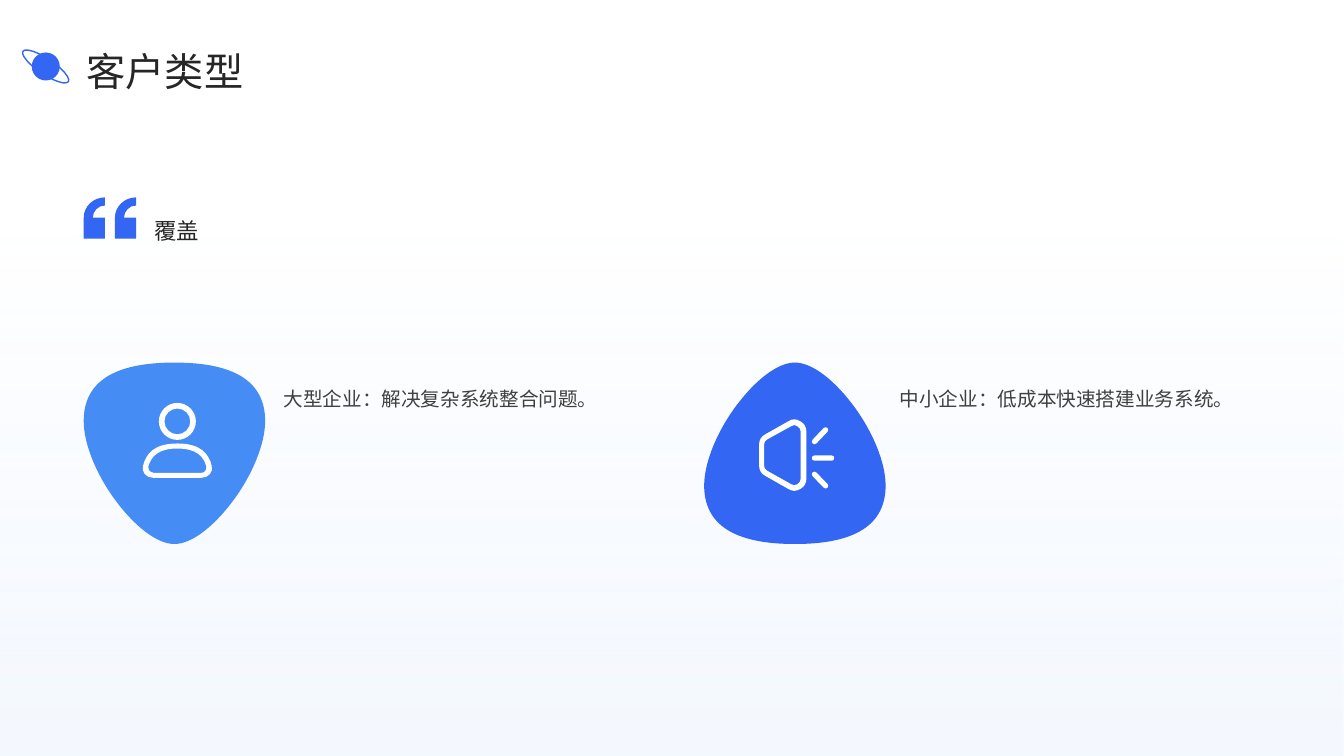
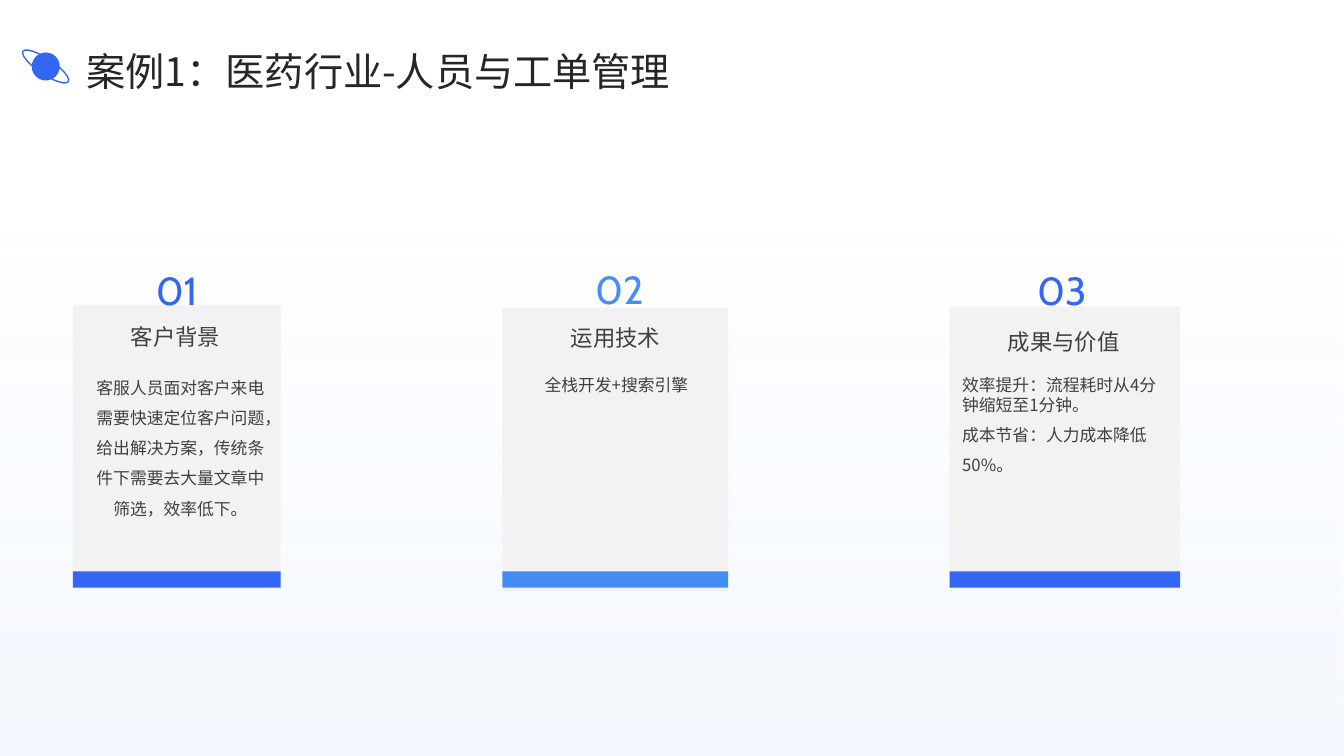
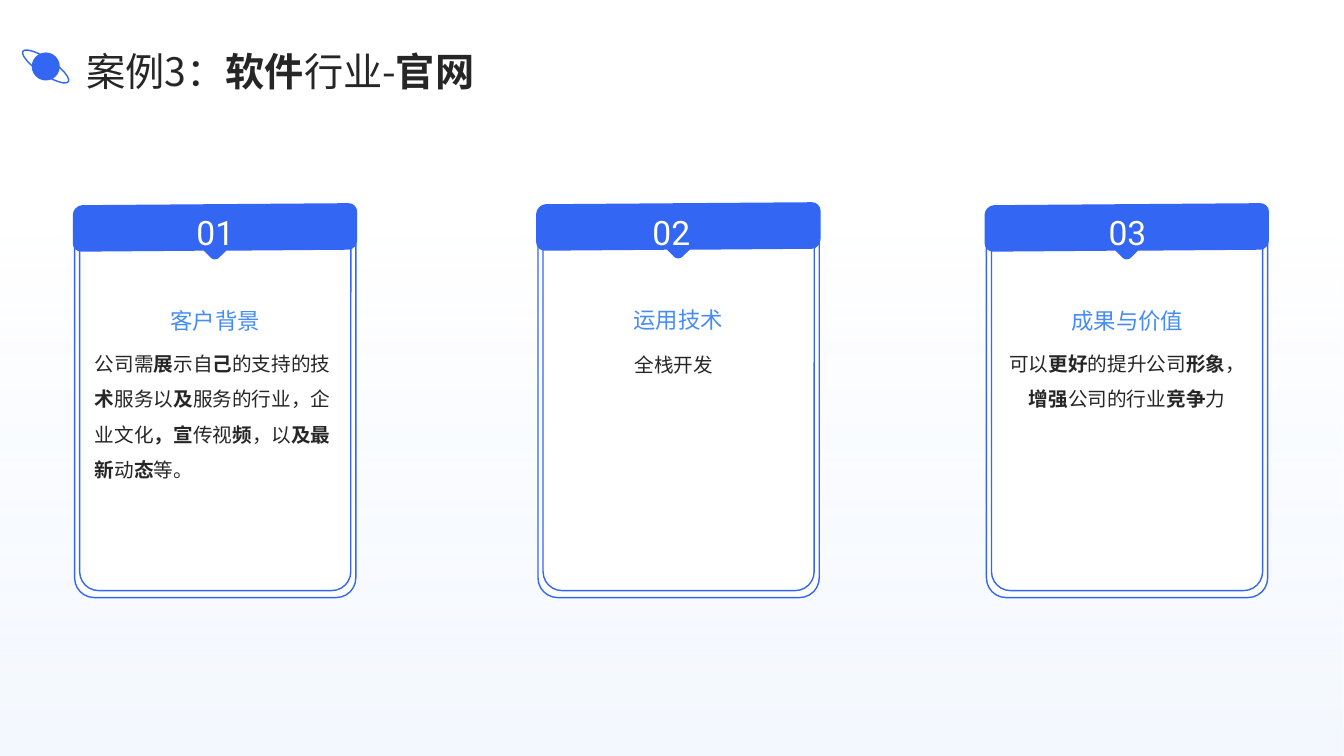
"""Build three slides: customer types and two customer cases."""
import math

import pptx
import pptx.dml.color
import pptx.enum.shapes
import pptx.enum.text
import pptx.oxml.ns
import pptx.util
from lxml import etree

Pt = pptx.util.Pt
SHAPE = pptx.enum.shapes.MSO_SHAPE
ALIGN = pptx.enum.text.PP_ALIGN
ANCHOR = pptx.enum.text.MSO_ANCHOR
qn = pptx.oxml.ns.qn

COLORS = {"blue": "3366F3", "sky": "458CF5", "haze": "DAE8FD", "panel": "F2F2F2",
          "white": "FFFFFF", "ink": "262626", "gray": "404040"}
CJK = "Noto Sans CJK SC"
WIDTH, HEIGHT = 960, 540

CUSTOMERS = {
    "title": "客户类型",
    "lead": "覆盖",
    "types": [
        {"text": "大型企业：解决复杂系统整合问题。", "badge": 59.8, "left": 202.5,
         "color": "sky", "flipped": False},
        {"text": "中小企业：低成本快速搭建业务系统。", "badge": 503, "left": 642.6,
         "color": "blue", "flipped": True},
    ],
}
MEDICAL = {
    "title": "案例1：医药行业-人员与工单管理",
    "cards": [
        {"number": "01", "heading": "客户背景", "color": "blue",
         "panel": (52, 217.6, 148.5, 202.3), "number_at": (85.9, 176.4),
         "heading_at": (51.9, 218.4, 146.9), "body_at": (59.4, 258.8, 139),
         "align": ALIGN.CENTER, "spacing": [1.5],
         "body": ["客服人员面对客户来电需要快速定位客户问题，给出解决方案，"
                  "传统条件下需要去大量文章中筛选，效率低下。"]},
        {"number": "02", "heading": "运用技术", "color": "sky",
         "panel": (358.8, 219.8, 161.4, 202.3), "number_at": (402.1, 175.7),
         "heading_at": (359.3, 219, 160.6), "body_at": (360, 257, 160.6),
         "align": ALIGN.CENTER, "spacing": [1.5], "body": ["全栈开发+搜索引擎"]},
        {"number": "03", "heading": "成果与价值", "color": "blue",
         "panel": (678.4, 219.1, 164.7, 201.6), "number_at": (718.2, 176.4),
         "heading_at": (678.5, 221.9, 162.7), "body_at": (680.2, 264, 162.7),
         "align": ALIGN.LEFT, "spacing": [1, 1.5],
         "body": ["效率提升：流程耗时从4分钟缩短至1分钟。", "成本节省：人力成本降低50%。"]},
    ],
}
SOFTWARE = {
    "title": "案例3：*软件*行业-*官网*",
    "cards": [
        {"number": "01", "heading": "客户背景", "left": 53.3, "lift": 0,
         "body_at": (67.7, 243), "heading_left": 67.7, "align": ALIGN.LEFT,
         "body": "公司需*展*示自*己*的支持的技*术*服务以*及*服务的行业，企业文化"
                 "*，宣*传视*频*，以*及最新*动*态*等。"},
        {"number": "02", "heading": "运用技术", "left": 384.3, "lift": 0.7,
         "body_at": (395.3, 244), "heading_left": 398.5, "align": ALIGN.CENTER,
         "body": "全栈开发"},
        {"number": "03", "heading": "成果与价值", "left": 704.6, "lift": 0,
         "body_at": (719, 243), "heading_left": 719.2, "align": ALIGN.CENTER,
         "body": "可以*更好*的提升公司*形象*，*增强*公司的行业*竞争*力"},
    ],
}

BADGE = [(64.8, 0), (21.6, 0, 0, 13.7, 0, 41.8), (0, 57.6, 8.6, 79.2, 22.3, 97.9),
         (36.7, 117.4, 52.6, 129.6, 64.8, 129.6), (77, 129.6, 92.9, 117.4, 107.3, 97.9),
         (121, 79.2, 129.6, 57.6, 129.6, 41.8), (129.6, 13.7, 108, 0, 64.8, 0)]
QUOTE = [(15.1, 0), (15.1, 5.8), (10.1, 5.8, 6.5, 10.1, 6.5, 14.4), (15.1, 14.4),
         (15.1, 29.5), (0, 29.5), (0, 14.4), (0, 6.5, 6.8, 0, 15.1, 0)]
SHOULDERS = [
    [(126.7, 316.8), (110.2, 316.8, 104.4, 324, 102.2, 332.6),
     (100.8, 337, 104.4, 341.3, 109.4, 341.3), (144, 341.3),
     (149, 341.3, 152.6, 337, 151.2, 332.6), (149, 324, 143.3, 316.8, 126.7, 316.8)],
    [(126.7, 320.4), (140.4, 320.4, 145.4, 326, 147.4, 333.2),
     (147.6, 336, 146.2, 337.7, 144, 337.7), (109.4, 337.7),
     (107.3, 337.7, 105.8, 336, 106, 333.2), (108, 326, 113, 320.4, 126.7, 320.4)],
]
SPEAKER = [
    [(567.4, 299.5), (568.8, 299.5, 570.2, 300, 571.7, 301),
     (574.6, 302.4, 576, 305.3, 576, 308.2), (576, 342),
     (576, 344.9, 574.6, 347.8, 571.7, 349.2), (570.2, 350, 568.8, 350.6, 567.4, 350.6),
     (565.9, 350.6, 564.5, 350, 563, 349.2), (546.5, 339.8),
     (543.6, 338.4, 542.2, 335.5, 542.2, 332.6), (542.2, 317.5),
     (542.2, 314.6, 543.6, 311.8, 546.5, 310.3), (563, 301),
     (564.5, 300, 565.9, 299.5, 567.4, 299.5)],
    [(567.4, 303.6), (566.6, 303.6, 565.9, 304, 565.2, 304.4), (547.9, 313.9),
     (546.5, 314.6, 545.8, 316.1, 545.8, 317.5), (545.8, 332.6),
     (545.8, 334.1, 546.5, 335.5, 547.9, 336.2), (565.2, 345.9),
     (566.6, 346.8, 568.1, 346.8, 569.5, 345.9), (571, 345.2, 571.9, 343.6, 571.9, 342),
     (571.9, 308.2), (571.9, 306.7, 571, 305.2, 569.5, 304.4),
     (568.8, 304, 568.1, 303.6, 567.4, 303.6)],
]
RAYS = [(581.8, 338.8, 589.7, 347), (581.8, 327.2, 594, 327.2), (581.8, 315.4, 589.7, 307.1)]
TAB = [(5.8, 1.4), (195.8, 0), (198.7, 0, 200.9, 2.2, 200.9, 5), (200.9, 25.2),
       (200.9, 28.1, 198.7, 31, 195.8, 31), (108, 31.7), (102.2, 37.4),
       (100.8, 38.2, 99.4, 38.2, 98.6, 37.4), (92.9, 31.7), (5, 32.4),
       (2.2, 32.4, 0, 30.2, 0, 27.4), (0, 7.2), (0, 4.3, 2.9, 1.4, 5.8, 1.4)]
TAB_CENTER = (100.45, 16.2)


def rgb(name):
    return pptx.dml.color.RGBColor.from_string(COLORS[name])


def paint(shape, fill=None, line=None, weight=1):
    shape.shadow.inherit = False
    if fill:
        shape.fill.solid()
        shape.fill.fore_color.rgb = rgb(fill)
    else:
        shape.fill.background()
    if line:
        shape.line.color.rgb = rgb(line)
        shape.line.width = Pt(weight)
    else:
        shape.line.fill.background()
    return shape


def add_preset(shapes, kind, at, **style):
    return paint(shapes.add_shape(kind, *map(Pt, at)), **style)


def pairs(segment):
    return list(zip(segment[::2], segment[1::2]))


def remap(outline, change):
    """Apply a point function to every point of an outline."""
    return [tuple(value for x, y in pairs(segment) for value in change(x, y))
            for segment in outline]


def shift(outline, left, top):
    return remap(outline, lambda x, y: (left + x, top + y))


def turn(outline, center, degrees):
    cos, sin = math.cos(math.radians(degrees)), math.sin(math.radians(degrees))
    cx, cy = center
    return remap(outline, lambda x, y: (cx + (x - cx) * cos - (y - cy) * sin,
                                        cy + (x - cx) * sin + (y - cy) * cos))


def circle(cx, cy, radius):
    k = 0.55
    unit = [(0, -1), (k, -1, 1, -k, 1, 0), (1, k, k, 1, 0, 1),
            (-k, 1, -1, k, -1, 0), (-1, -k, -k, -1, 0, -1)]
    return remap(unit, lambda x, y: (cx + radius * x, cy + radius * y))


def capsule(x1, y1, x2, y2, radius=1.9):
    length = math.dist((x1, y1), (x2, y2))
    ux, uy = (x2 - x1) / length * radius, (y2 - y1) / length * radius
    bulge = 4 / 3
    bx, by = ux * bulge, uy * bulge
    return [(x1 - uy, y1 + ux), (x2 - uy, y2 + ux),
            (x2 - uy + bx, y2 + ux + by, x2 + uy + bx, y2 - ux + by, x2 + uy, y2 - ux),
            (x1 + uy, y1 - ux),
            (x1 + uy - bx, y1 - ux - by, x1 - uy - bx, y1 + ux - by, x1 - uy, y1 + ux)]


def add_outlines(page, outlines, **style):
    """Draw closed outlines as one freeform, with six-number segments as curves."""
    ends = [[tuple(map(Pt, segment[-2:])) for segment in outline] for outline in outlines]
    builder = page.shapes.build_freeform(*ends[0][0])
    for index, points in enumerate(ends):
        if index:
            builder.move_to(*points[0])
        builder.add_line_segments(points[1:], close=True)
    shape = builder.convert_to_shape()
    segments = [segment for outline in outlines for segment in outline[1:]]
    for node, segment in zip(list(shape._element.iter(qn("a:lnTo"))), segments):
        if len(segment) == 6:
            curve = etree.Element(qn("a:cubicBezTo"))
            for x, y in pairs(segment):
                point = etree.SubElement(curve, qn("a:pt"))
                point.set("x", str(Pt(x) - shape.left))
                point.set("y", str(Pt(y) - shape.top))
            node.getparent().replace(node, curve)
    return paint(shape, **style)


def add_text(page, at, lines, size, color, font=CJK, spacing=(1.5,), align=ALIGN.LEFT,
             anchor=ANCHOR.TOP, inset=(0, 0)):
    """Write paragraphs where stretches between asterisks are bold."""
    frame = page.shapes.add_textbox(*map(Pt, at)).text_frame
    frame.word_wrap = True
    frame.vertical_anchor = anchor
    frame.margin_left = frame.margin_right = Pt(inset[0])
    frame.margin_top = frame.margin_bottom = Pt(inset[1])
    for number, (line, gap) in enumerate(zip(lines, spacing)):
        para = frame.add_paragraph() if number else frame.paragraphs[0]
        para.alignment = align
        para.line_spacing = gap
        for index, part in enumerate(line.split("*")):
            if not part:
                continue
            span = para.add_run()
            span.text = part
            span.font.size = Pt(size)
            span.font.name = font
            span.font.bold = index % 2 == 1
            span.font.color.rgb = rgb(color)
            etree.SubElement(span.font._element, qn("a:ea")).set("typeface", font)


def start_page(deck, title):
    page = deck.slides.add_slide(deck.slide_layouts[6])
    backdrop = add_preset(page.shapes, SHAPE.RECTANGLE, (0, 0, WIDTH, HEIGHT))
    backdrop.fill.gradient()
    backdrop.fill.gradient_angle = 270
    for stop, position in zip(backdrop.fill.gradient_stops, (0.3, 1)):
        stop.color.rgb = rgb("haze")
        stop.position = position
    for tint, alpha in zip(backdrop._element.iter(qn("a:srgbClr")), ("0", "30000")):
        etree.SubElement(tint, qn("a:alpha")).set("val", alpha)
    add_text(page, (61.9, 30.6, 840.2, 36.7), [title], 28, "ink", spacing=[1.1],
             anchor=ANCHOR.MIDDLE)
    planet = page.shapes.add_group_shape()
    add_preset(planet.shapes, SHAPE.OVAL, (22.7, 37.5, 20, 20), fill="blue")
    ring = add_preset(planet.shapes, SHAPE.OVAL, (13.1, 42, 39, 11), line="blue")
    ring.rotation = 33.8
    return page


def build_customers(deck):
    page = start_page(deck, CUSTOMERS["title"])
    for kind in CUSTOMERS["types"]:
        add_text(page, (kind["left"], 267.8, 254.9, 129.6), [kind["text"]], 14, "gray")
        badge = remap(BADGE, lambda x, y: (x, 129.6 - y)) if kind["flipped"] else BADGE
        add_outlines(page, [shift(badge, kind["badge"], 259)], fill=kind["color"])
    head = [circle(126.7, 301, radius) for radius in (13.2, 9.2)]
    add_outlines(page, head + SHOULDERS, fill="white")
    add_outlines(page, [capsule(*ray) for ray in RAYS] + SPEAKER, fill="white")
    add_outlines(page, [shift(QUOTE, left, 141) for left in (82.1, 59.8)], fill="blue")
    add_text(page, (110.2, 145.4, 787.7, 102.2), [CUSTOMERS["lead"]], 16, "ink")


def build_medical(deck):
    page = start_page(deck, MEDICAL["title"])
    inset = (7.2, 3.6)
    for card in MEDICAL["cards"]:
        left, _, width, _ = card["panel"]
        add_preset(page.shapes, SHAPE.RECTANGLE, card["panel"], fill="panel")
        add_text(page, (*card["number_at"], 80.6, 43.2), [card["number"]], 28, card["color"],
                 font="Cabin", spacing=[1.3], align=ALIGN.CENTER, inset=inset)
        add_preset(page.shapes, SHAPE.RECTANGLE, (left, 408.2, width, 11.6), fill=card["color"])
        add_text(page, (*card["heading_at"], 41.8), [card["heading"]], 16, "gray",
                 spacing=[1.1], align=ALIGN.CENTER, anchor=ANCHOR.MIDDLE, inset=inset)
        add_text(page, (*card["body_at"], 123.1), card["body"], 12, "gray",
                 spacing=card["spacing"], align=card["align"], inset=inset)


def build_software(deck):
    page = start_page(deck, SOFTWARE["title"])
    tilted = turn(TAB, TAB_CENTER, 45)
    for index, card in enumerate(SOFTWARE["cards"]):
        left = card["left"]
        for inset, top in ((0, 170.6), (3.6, 165.6)):
            frame = add_preset(page.shapes, SHAPE.ROUND_2_SAME_RECTANGLE,
                               (left + inset, top, 200.9 - 2 * inset, 256.3),
                               fill="white", line="blue")
            frame.adjustments[0] = 0.07
            frame._element.spPr.find(qn("a:xfrm")).set("flipV", "1")
        tab = add_outlines(page, [shift(tilted, left, 146.2 - card["lift"])],
                           fill="blue", line="blue", weight=2.25)
        tab.rotation = 315
        add_text(page, (85 + 325.8 * index, 150.8, 137.5, 21.6), [card["number"]], 24, "white",
                 font="Roboto", spacing=[1.3], align=ALIGN.CENTER, anchor=ANCHOR.MIDDLE)
        add_text(page, (*card["body_at"], 172.1, 169), [card["body"]], 14, "ink",
                 align=card["align"])
        add_text(page, (card["heading_left"], 190 - card["lift"], 172.1, 48.3),
                 [card["heading"]], 16, "sky", spacing=[1.3], align=ALIGN.CENTER,
                 anchor=ANCHOR.BOTTOM)


def main():
    deck = pptx.Presentation()
    deck.slide_width, deck.slide_height = Pt(WIDTH), Pt(HEIGHT)
    build_customers(deck)
    build_medical(deck)
    build_software(deck)
    deck.save("out.pptx")


if __name__ == "__main__":
    main()
